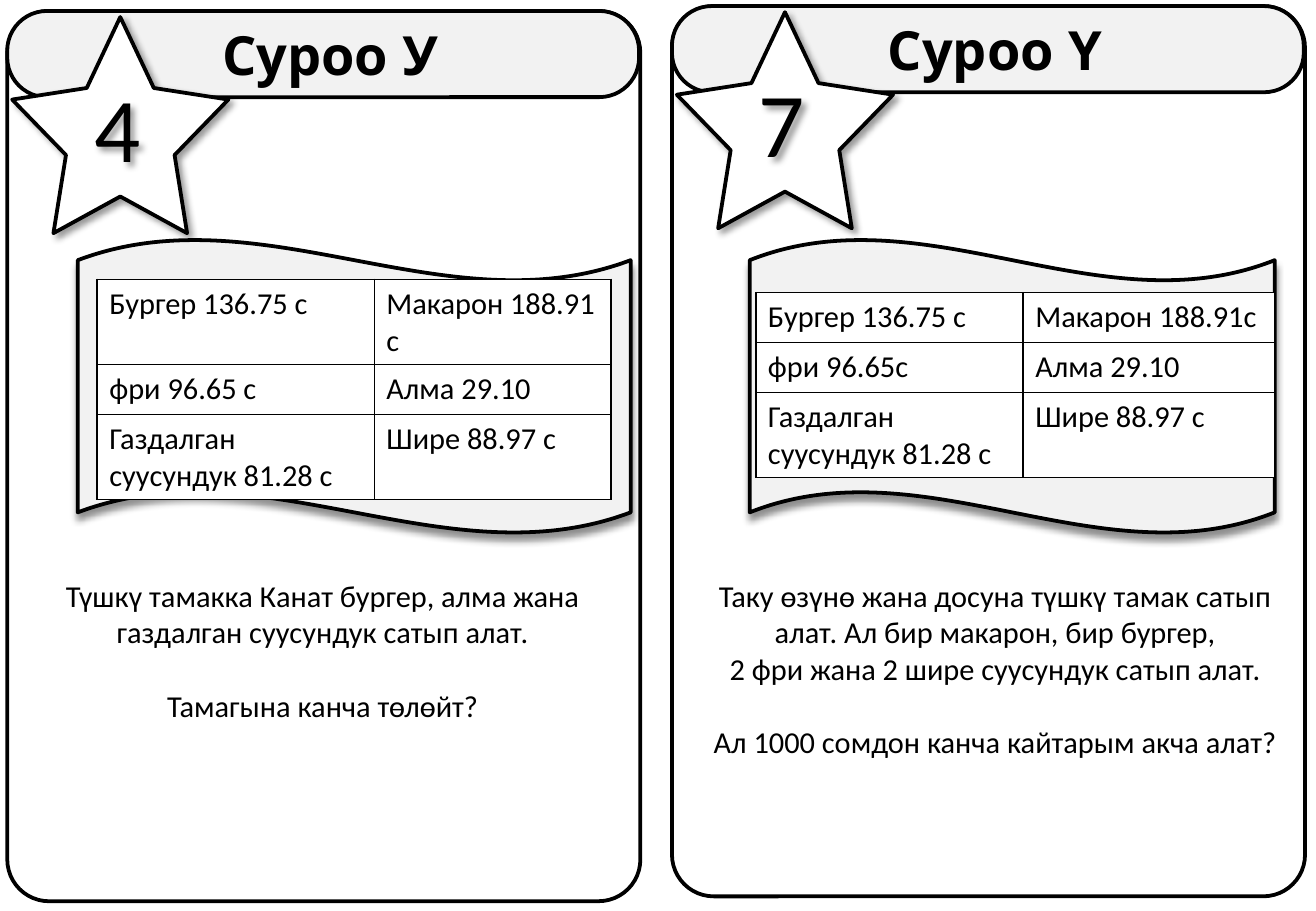
from lxml import etree
from pptx import Presentation
from pptx.dml.color import RGBColor
from pptx.enum.shapes import MSO_SHAPE
from pptx.enum.text import MSO_ANCHOR, MSO_AUTO_SIZE, PP_ALIGN
from pptx.oxml import parse_xml
from pptx.oxml.ns import nsdecls
from pptx.util import Inches, Pt

BLACK, WHITE, GREY = "000000", "FFFFFF", "F2F2F2"

CARDS = [
    {
        "left": 0.06, "top": 0.09, "heading": " Суроо У", "number": "4",
        "banner": (0.64, 4.55),
        "menu_at": (0.8, 2.3), "columns": (2.28, 1.95),
        "menu": [("Бургер 136.75 с", "Макарон 188.91 с"),
                 ("фри 96.65 с", "Алма 29.10"),
                 ("Газдалган суусундук 81.28 с", "Шире 88.97 с")],
        "question_at": (0.38, 4.7, 4.55, 1.31),
        "question": ["Түшкү тамакка Канат бургер, алма жана",
                     "газдалган суусундук сатып алат.",
                     "Тамагына канча төлөйт?"],
    },
    {
        "left": 5.53, "top": 0.05, "heading": " Суроо Ү", "number": "7",
        "banner": (6.17, 4.32),
        "menu_at": (6.22, 2.41), "columns": (2.2, 2.07),
        "menu": [("Бургер 136.75 с", "Макарон 188.91с"),
                 ("фри 96.65с", "Алма 29.10"),
                 ("Газдалган суусундук 81.28 с", "Шире 88.97 с")],
        "question_at": (5.76, 4.7, 4.86, 1.62),
        "question": ["Таку өзүнө жана досуна түшкү тамак сатып",
                     "алат. Ал бир макарон, бир бургер,",
                     "2 фри жана 2 шире суусундук сатып алат.",
                     "Ал 1000 сомдон канча кайтарым акча алат?"],
    },
]


def style(shape, fill=None, adjustments=(), shadow=None):
    """Outline a shape in black; shadow is (opacity %, blur pt, distance pt, angle)."""
    for i, value in enumerate(adjustments):
        shape.adjustments[i] = value
    if fill:
        shape.fill.solid()
        shape.fill.fore_color.rgb = RGBColor.from_string(fill)
    else:
        shape.fill.background()
    shape.line.color.rgb = RGBColor.from_string(BLACK)
    shape.line.width = Pt(2.25)
    shape.shadow.inherit = False
    if shadow:
        opacity, blur, distance, angle = shadow
        effects = shape._element.spPr.find("{*}effectLst")
        effects.append(parse_xml(
            f'<a:outerShdw {nsdecls("a")} blurRad="{Pt(blur)}" dist="{Pt(distance)}" '
            f'dir="{angle * 60000}" algn="tl" rotWithShape="0"><a:srgbClr val="{BLACK}">'
            f'<a:alpha val="{opacity * 1000}"/></a:srgbClr></a:outerShdw>'))


def write(frame, lines, size, font="Calibri", bold=False, align=PP_ALIGN.CENTER):
    frame.text = "\n".join(lines)
    for paragraph in frame.paragraphs:
        paragraph.alignment = align
        for run in paragraph.runs:
            run.font.name = font
            run.font.size = Pt(size)
            run.font.bold = bold
            run.font.color.rgb = RGBColor.from_string(BLACK)


prs = Presentation()
prs.slide_width, prs.slide_height = Inches(10.83), Inches(7.5)
slide = prs.slides.add_slide(prs.slide_layouts[6])

for card in CARDS:
    left, top = card["left"], card["top"]

    group = slide.shapes.add_group_shape()
    outline = group.shapes.add_shape(
        MSO_SHAPE.ROUNDED_RECTANGLE, Inches(left), Inches(top), Inches(5.21), Inches(7.33))
    style(outline, adjustments=[0.066])
    heading = group.shapes.add_shape(
        MSO_SHAPE.ROUNDED_RECTANGLE, Inches(left), Inches(top), Inches(5.2), Inches(0.71))
    style(heading, GREY, [0.461])
    heading.text_frame.vertical_anchor = MSO_ANCHOR.MIDDLE
    write(heading.text_frame, [card["heading"]], 32, "League Spartan", True)

    star = slide.shapes.add_shape(
        MSO_SHAPE.STAR_5_POINT, Inches(left + 0.04), Inches(top + 0.05),
        Inches(1.78), Inches(1.78))
    style(star, WHITE, [0.251], (40, 4, 3, 45))
    number = slide.shapes.add_textbox(
        Inches(left + 0.61), Inches(top + 0.45), Inches(0.59), Inches(1.01))
    style(number, shadow=(40, 4, 3, 45))
    number.line.fill.background()
    number.text_frame.word_wrap = False
    write(number.text_frame, [card["number"]], 54)

    banner_left, banner_width = card["banner"]
    banner = slide.shapes.add_shape(
        MSO_SHAPE.WAVE, Inches(banner_left), Inches(1.97), Inches(banner_width), Inches(2.42))
    style(banner, GREY, [0.071, 0], (43, 4, 4, 90))

    menu_left, menu_top = card["menu_at"]
    menu = slide.shapes.add_table(
        3, 2, Inches(menu_left), Inches(menu_top),
        Inches(sum(card["columns"])), Inches(3 * 0.41)).table
    menu.first_row = menu.horz_banding = False
    for column, width in zip(menu.columns, card["columns"]):
        column.width = Inches(width)
    for row, items in zip(menu.rows, card["menu"]):
        row.height = Inches(0.41)
        for cell, item in zip(row.cells, items):
            write(cell.text_frame, [item], 18, align=PP_ALIGN.LEFT)
            cell.fill.solid()
            cell.fill.fore_color.rgb = RGBColor.from_string(WHITE)
            properties = cell._tc.get_or_add_tcPr()
            for i, side in enumerate(("lnL", "lnR", "lnT", "lnB")):
                border = parse_xml(
                    f'<a:{side} {nsdecls("a")} w="{Pt(1)}"><a:solidFill>'
                    f'<a:srgbClr val="{BLACK}"/></a:solidFill></a:{side}>')
                properties.insert(i, border)

    question = slide.shapes.add_textbox(*map(Inches, card["question_at"])).text_frame
    question.word_wrap = False
    question.auto_size = MSO_AUTO_SIZE.SHAPE_TO_FIT_TEXT
    write(question, card["question"], 18)
    question.paragraphs[-1].space_before = Pt(22)

prs.save("out.pptx")
